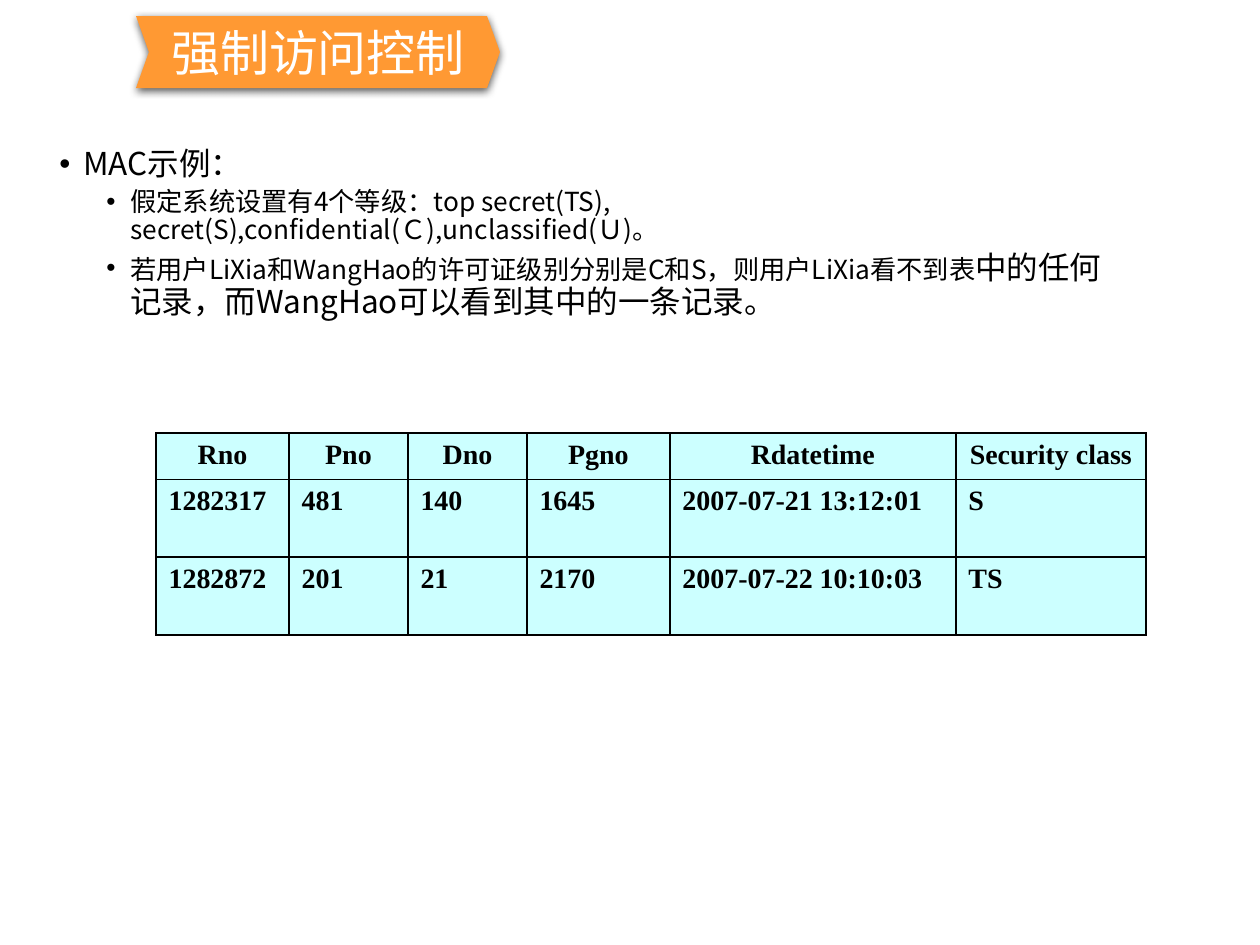
from dataclasses import dataclass
from lxml.etree import SubElement
from pptx import Presentation
from pptx.dml.color import RGBColor
from pptx.enum.shapes import MSO_SHAPE
from pptx.enum.text import MSO_ANCHOR, PP_ALIGN
from pptx.oxml.ns import qn
from pptx.util import Emu, Pt

PIXELS_PER_INCH = 126
COLORS = {"orange": "FF9933", "cyan": "CCFFFF", "black": "000000", "white": "FFFFFF"}
SANS = "Noto Sans CJK SC"
SERIF = "Times New Roman"


@dataclass
class Box:
    left: int
    top: int
    width: int
    height: int

    def emu(self) -> tuple:
        return tuple(map(px, (self.left, self.top, self.width, self.height)))


@dataclass
class Bullet:
    level: int
    margin: int
    runs: list[tuple[str, int]]


BULLETS = [
    Bullet(1, 71, [("MAC示例：", 18)]),
    Bullet(2, 118, [("假定系统设置有4个等级：top secret(TS), "
                     "secret(S),confidential(Ｃ),unclassified(Ｕ)。", 15)]),
    Bullet(2, 118, [("若用户LiXia和WangHao的许可证级别分别是C和S，则用户LiXia看不到表", 15),
                    ("中的任何记录，而WangHao可以看到其中的一条记录。", 18)]),
]
COLUMN_WIDTHS = [133, 119, 119, 143, 286, 190]
ROW_HEIGHTS = [46, 78, 78]
RECORDS = [
    ["Rno", "Pno", "Dno", "Pgno", "Rdatetime", "Security class"],
    ["1282317", "481", "140", "1645", "2007-07-21 13:12:01", "S"],
    ["1282872", "201", "21", "2170", "2007-07-22 10:10:03", "TS"],
]


def px(length: int) -> Emu:
    return Emu(round(length * 914400 / PIXELS_PER_INCH))


def rgb(name: str) -> RGBColor:
    return RGBColor.from_string(COLORS[name])


def add_color(parent, name: str):
    return SubElement(parent, qn("a:srgbClr"), val=COLORS[name])


def style_font(font, name: str, color: str) -> None:
    font.name = name
    font.color.rgb = rgb(color)
    SubElement(font._element, qn("a:ea"), typeface=name)


def add_title(slide, box: Box, text: str) -> None:
    shape = slide.shapes.add_shape(MSO_SHAPE.CHEVRON, *box.emu())
    shape.adjustments[0] = 0.18
    shape.fill.solid()
    shape.fill.fore_color.rgb = rgb("orange")
    shape.line.fill.background()
    effects = SubElement(shape._element.spPr, qn("a:effectLst"))
    shadow = SubElement(effects, qn("a:outerShdw"), blurRad=str(Pt(4.5)),
                        dist=str(Pt(1.5)), dir="5400000", rotWithShape="0")
    SubElement(add_color(shadow, "black"), qn("a:alpha"), val="63000")
    frame = shape.text_frame
    frame.word_wrap = False
    frame.vertical_anchor = MSO_ANCHOR.MIDDLE
    paragraph = frame.paragraphs[0]
    paragraph.text = text
    paragraph.alignment = PP_ALIGN.CENTER
    paragraph.font.size = Pt(28)
    style_font(paragraph.font, SANS, "white")


def add_bullets(slide, box: Box, bullets: list[Bullet]) -> None:
    frame = slide.shapes.add_textbox(*box.emu()).text_frame
    frame.word_wrap = True
    for index, bullet in enumerate(bullets):
        paragraph = frame.add_paragraph() if index else frame.paragraphs[0]
        paragraph.level = bullet.level
        paragraph.line_spacing = 0.9
        paragraph.space_before = Pt(3.8)
        properties = paragraph._p.get_or_add_pPr()
        properties.set("marL", str(px(bullet.margin)))
        properties.set("indent", str(px(-24)))
        SubElement(properties, qn("a:buFont"), typeface="Arial")
        SubElement(properties, qn("a:buChar"), char="•")
        style_font(paragraph.font, SANS, "black")
        for text, size in bullet.runs:
            run = paragraph.add_run()
            run.text = text
            run.font.size = Pt(size)


def style_cell(cell, text: str, alignment: PP_ALIGN) -> None:
    properties = cell._tc.get_or_add_tcPr()
    for side in ("lnL", "lnR", "lnT", "lnB"):
        border = SubElement(properties, qn(f"a:{side}"), w=str(Pt(1)))
        add_color(SubElement(border, qn("a:solidFill")), "black")
    cell.fill.solid()
    cell.fill.fore_color.rgb = rgb("cyan")
    paragraph = cell.text_frame.paragraphs[0]
    paragraph.text = text
    paragraph.alignment = alignment
    paragraph.font.size = Pt(16)
    paragraph.font.bold = True
    style_font(paragraph.font, SERIF, "black")


def add_records(slide, left: int, top: int) -> None:
    box = Box(left, top, sum(COLUMN_WIDTHS), sum(ROW_HEIGHTS))
    table = slide.shapes.add_table(len(RECORDS), len(COLUMN_WIDTHS), *box.emu()).table
    table.horz_banding = False
    for column, width in zip(table.columns, COLUMN_WIDTHS):
        column.width = px(width)
    for index, (row, height, record) in enumerate(zip(table.rows, ROW_HEIGHTS, RECORDS)):
        row.height = px(height)
        alignment = PP_ALIGN.LEFT if index else PP_ALIGN.CENTER
        for cell, text in zip(row.cells, record):
            style_cell(cell, text, alignment)


def main() -> None:
    presentation = Presentation()
    presentation.slide_width = px(1260)
    presentation.slide_height = px(945)
    slide = presentation.slides.add_slide(presentation.slide_layouts[6])
    add_bullets(slide, Box(0, 142, 1143, 722), BULLETS)
    add_title(slide, Box(136, 16, 364, 72), "强制访问控制")
    add_records(slide, 156, 433)
    presentation.save("out.pptx")


if __name__ == "__main__":
    main()
